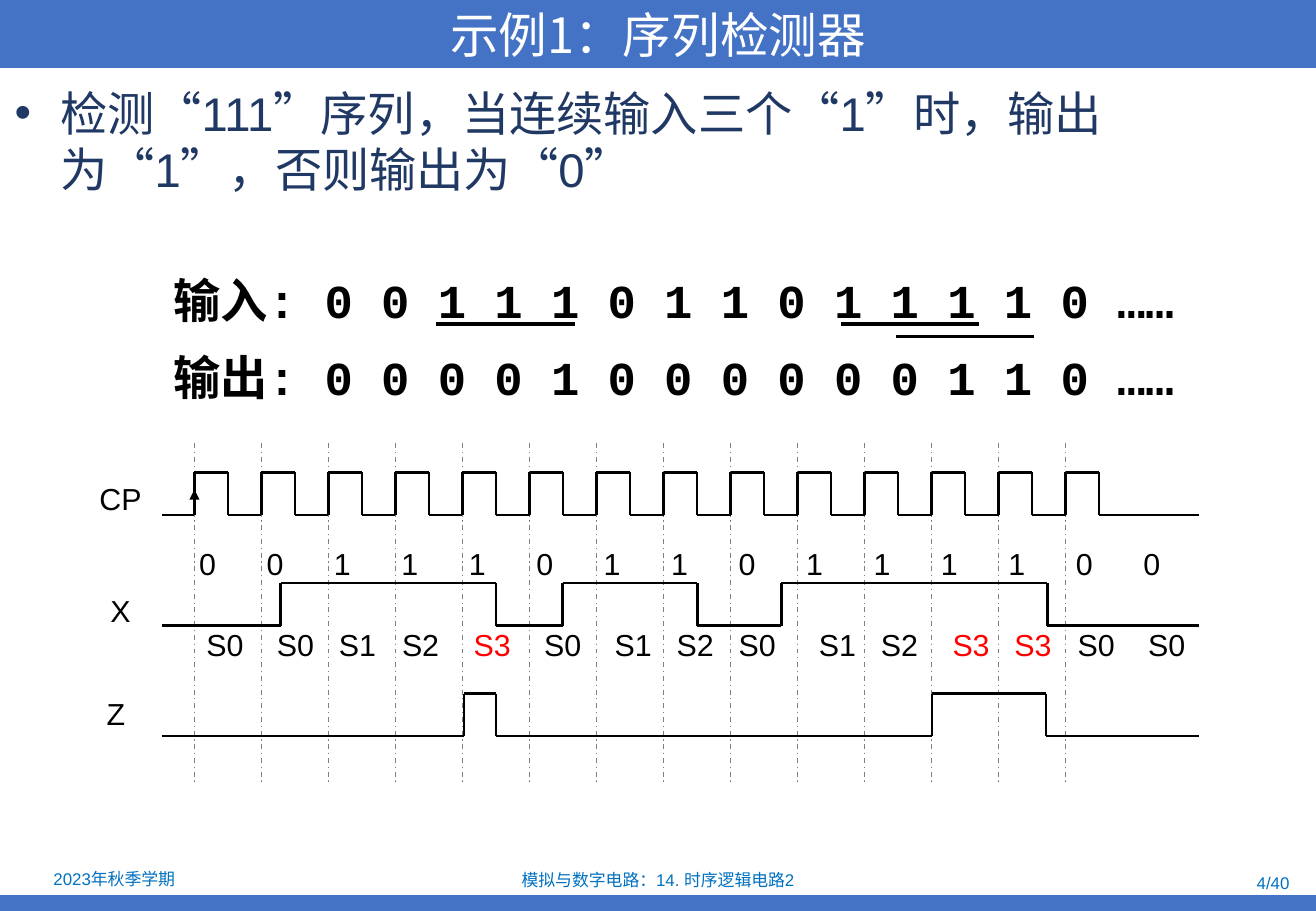
import itertools

import pptx
import pptx.dml.color
import pptx.enum.dml
import pptx.enum.shapes
import pptx.enum.text
import pptx.oxml
import pptx.oxml.ns
import pptx.util

Inches = pptx.util.Inches
Pt = pptx.util.Pt
ALIGN = pptx.enum.text.PP_ALIGN
MIDDLE = pptx.enum.text.MSO_ANCHOR.MIDDLE

COLORS = {"bar": "4472C4", "title": "FFFFFF", "body": "203864", "footer": "0070C0",
          "ink": "000000", "grid": "808080", "hit": "FF0000"}
PITCH = 0.5515
INPUT_BITS = "00111011011110"
OUTPUT_BITS = "00001000000110"
STATES = "S0 S0 S1 S2 S3 S0 S1 S2 S0 S1 S2 S3 S3 S0 S0".split()
STATE_STEPS = [0.58, 0.51, 0.52, 0.59, 0.58, 0.58, 0.51,
               0.51, 0.66, 0.51, 0.59, 0.51, 0.52, 0.58]


def rgb(name):
    """Return the named colour."""
    return pptx.dml.color.RGBColor.from_string(COLORS[name])


def add_run(p, text, size, color, font="Arial", bold=False):
    """Add one formatted run to a paragraph."""
    r = p.add_run()
    r.text = text
    r.font.size = Pt(size)
    r.font.name = font
    r.font.bold = bold
    r.font.color.rgb = rgb(color)


def add_box(s, x, y, w, h, wrap=True):
    """Add an empty text box and return its text frame."""
    tf = s.shapes.add_textbox(Inches(x), Inches(y), Inches(w), Inches(h)).text_frame
    tf.word_wrap = wrap
    return tf


def add_line(s, start, end, width=1.5, color="ink", dash=False, arrow=False):
    """Draw a straight line between two points."""
    c = s.shapes.add_connector(pptx.enum.shapes.MSO_CONNECTOR.STRAIGHT,
                               *[Inches(v) for v in (*start, *end)])
    c.line.width = Pt(width)
    c.line.color.rgb = rgb(color)
    if dash:
        c.line.dash_style = pptx.enum.dml.MSO_LINE.DASH_DOT
    if arrow:
        tail = pptx.oxml.parse_xml(
            f'<a:tailEnd {pptx.oxml.ns.nsdecls("a")} type="triangle"/>')
        c.line._get_or_add_ln().append(tail)
    c._element.spPr.append(
        pptx.oxml.parse_xml(f'<a:effectLst {pptx.oxml.ns.nsdecls("a")}/>'))


def add_wave(s, x, y, w, h, edges):
    """Draw a digital signal that starts low and toggles at each edge."""
    levels = itertools.cycle((y + h, y))
    points = [(x, next(levels))]
    for edge in edges:
        points += [(edge, points[-1][1])]
        points += [(edge, y + h if points[-1][1] == y else y)]
    points += [(x + w, points[-1][1])]
    for start, end in zip(points, points[1:]):
        add_line(s, start, end)


def add_tabbed(s, x, y, w, h, labels, stops):
    """Write a row of labels on tab stops, with detected states highlighted."""
    p = add_box(s, x, y, w, h).paragraphs[0]
    tabs = "".join(f'<a:tab pos="{Inches(t)}" algn="l"/>' for t in stops)
    p._p.get_or_add_pPr().append(pptx.oxml.parse_xml(
        f'<a:tabLst {pptx.oxml.ns.nsdecls("a")}>{tabs}</a:tabLst>'))
    for i, label in enumerate(labels):
        add_run(p, "\t" * (i > 0) + label, 18, "hit" if label == "S3" else "ink")


def add_heading(s, x, y, w, h):
    """Format the title placeholder as a filled bar."""
    sp = s.shapes.title
    sp.left, sp.top, sp.width, sp.height = [Inches(v) for v in (x, y, w, h)]
    sp.fill.solid()
    sp.fill.fore_color.rgb = rgb("bar")
    sp.text_frame.vertical_anchor = MIDDLE
    p = sp.text_frame.paragraphs[0]
    p.alignment = ALIGN.CENTER
    add_run(p, "示例1：序列检测器", 28.8, "title", "Noto Sans CJK SC")


def add_body(s, x, y, w, h):
    """Place the bulleted statement of the task."""
    sp = s.placeholders[1]
    sp.left, sp.top, sp.width, sp.height = [Inches(v) for v in (x, y, w, h)]
    add_run(sp.text_frame.paragraphs[0],
            "检测“111”序列，当连续输入三个“1”时，输出为“1”，否则输出为“0”", 28, "body")


def add_sequences(s, x, y, w, h):
    """Show the input and output sequences with the matches underlined."""
    tf = add_box(s, x, y, w, h)
    for i, (label, bits) in enumerate((("输入", INPUT_BITS), ("输出", OUTPUT_BITS))):
        p = tf.paragraphs[0] if i == 0 else tf.add_paragraph()
        p.line_spacing = 1.2
        if i:
            p.space_before = Pt(5.6)
        add_run(p, label, 28, "ink", "Times New Roman" if i else "Courier New", True)
        add_run(p, f": {' '.join(bits)} ……", 28, "ink", "Courier New", True)
    for dx, dy in ((2.26, 0.58), (5.59, 0.58), (6.04, 0.68)):
        add_line(s, (x + dx, y + dy), (x + dx + 1.14, y + dy), 2.25)


def add_timing(s, x, y, w, h):
    """Draw the timing diagram of clock, input, states and output."""
    first = x + 0.27
    rises = [first + i * PITCH for i in range(14 + 1)][:14]
    for rise in rises:
        add_line(s, (rise, y), (rise, y + h), 0.75, "grid", dash=True)
    clock = [edge for rise in rises for edge in (rise, rise + PITCH / 2)]
    x_edges = [x + d for d in (0.98, 2.75, 3.3, 4.41, 5.1, 7.29)]
    z_edges = [x + d for d in (2.49, 2.75, 6.34, 7.28)]
    signals = (("CP", 0.72, 0.55, 0.24, 0.25, clock),
               ("X", 0.81, 0.37, 1.15, 1.18, x_edges),
               ("Z", 0.78, 0.43, 2.06, 2.02, z_edges))
    for name, left, width, top, label_top, edges in signals:
        add_wave(s, x, y + top, w, 0.35, edges)
        p = add_box(s, left, y + label_top, width, 0.4, False).paragraphs[0]
        add_run(p, name, 18, "ink")
    add_line(s, (first, y + 0.59), (first, y + 0.38), 0.75, arrow=True)
    add_tabbed(s, x + 0.21, y + 0.79, 8.19, 0.4, INPUT_BITS + "0",
               [i * 0.555 for i in range(1, 15)])
    add_tabbed(s, x + 0.27, y + 1.46, 8.51, 0.4, STATES,
               itertools.accumulate(STATE_STEPS))


def add_footer(s, x, y, w, h):
    """Draw the bottom bar and the three footer texts above it."""
    sp = s.shapes.add_shape(pptx.enum.shapes.MSO_SHAPE.RECTANGLE,
                            *[Inches(v) for v in (x, y, w, h)])
    sp.shadow.inherit = False
    sp.fill.solid()
    sp.fill.fore_color.rgb = rgb("bar")
    sp.line.fill.background()
    for text, dx, dy, width, align in (
            ("2023年秋季学期", 0.02, -0.24, 1.84, ALIGN.CENTER),
            ("模拟与数字电路：14. 时序逻辑电路2", 3.7, -0.23, 3.43, ALIGN.CENTER),
            ("4/40", 8.18, -0.21, 2.53, ALIGN.RIGHT)):
        tf = add_box(s, x + dx, y + dy, width, 0.21)
        tf.vertical_anchor = MIDDLE
        tf.paragraphs[0].alignment = align
        add_run(tf.paragraphs[0], text, 10, "footer")


def main():
    """Build and save the slide."""
    prs = pptx.Presentation()
    prs.slide_width, prs.slide_height = Inches(10.83), Inches(7.5)
    s = prs.slides.add_slide(prs.slide_layouts[1])
    add_heading(s, 0, 0, 10.83, 0.56)
    add_body(s, 0.02, 0.64, 10.43, 6.5)
    add_sequences(s, 1.33, 2.09, 8.55, 1.32)
    add_timing(s, 1.33, 3.65, 8.54, 2.8)
    add_footer(s, 0, 7.37, 10.83, 0.13)
    prs.save("out.pptx")


if __name__ == "__main__":
    main()
